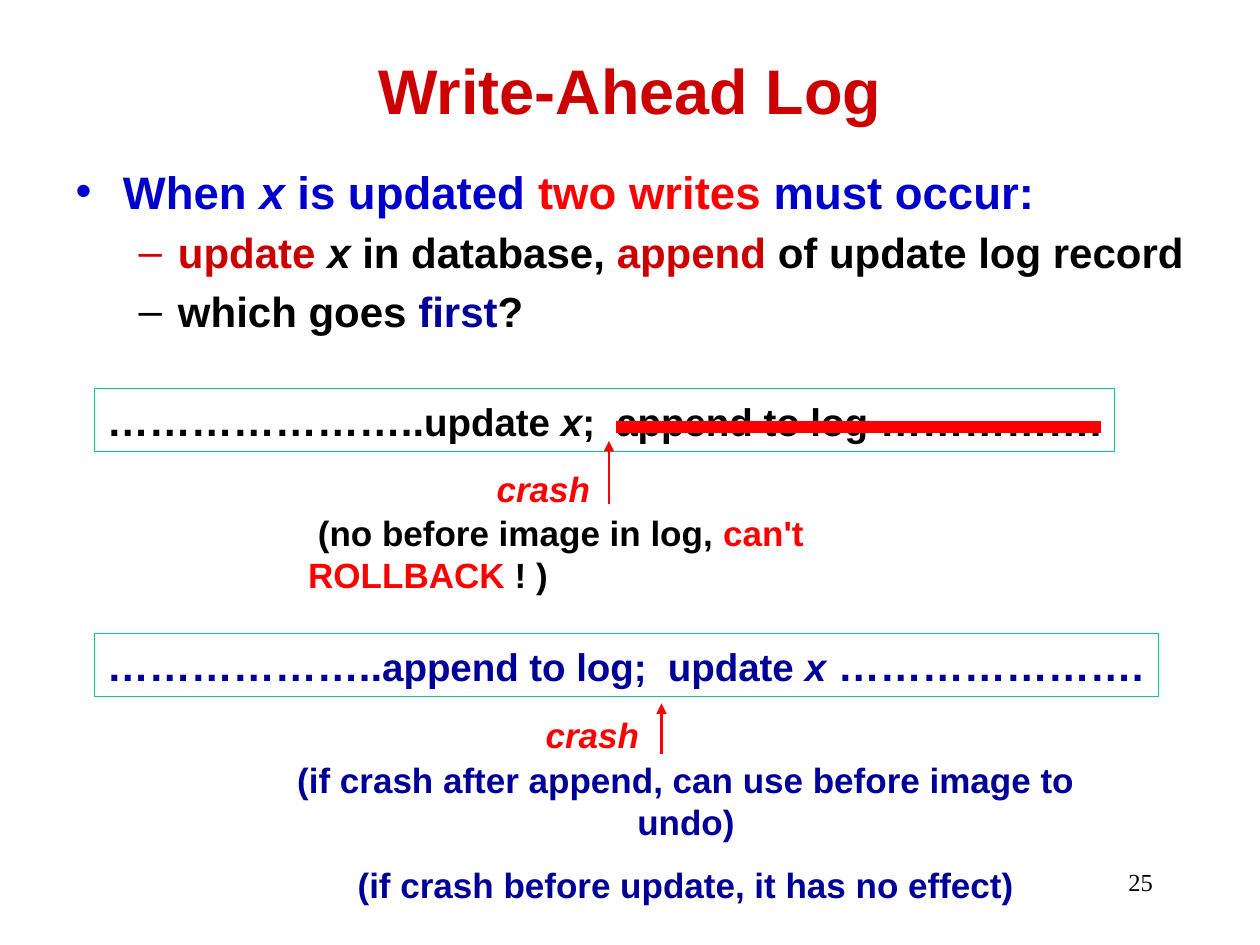
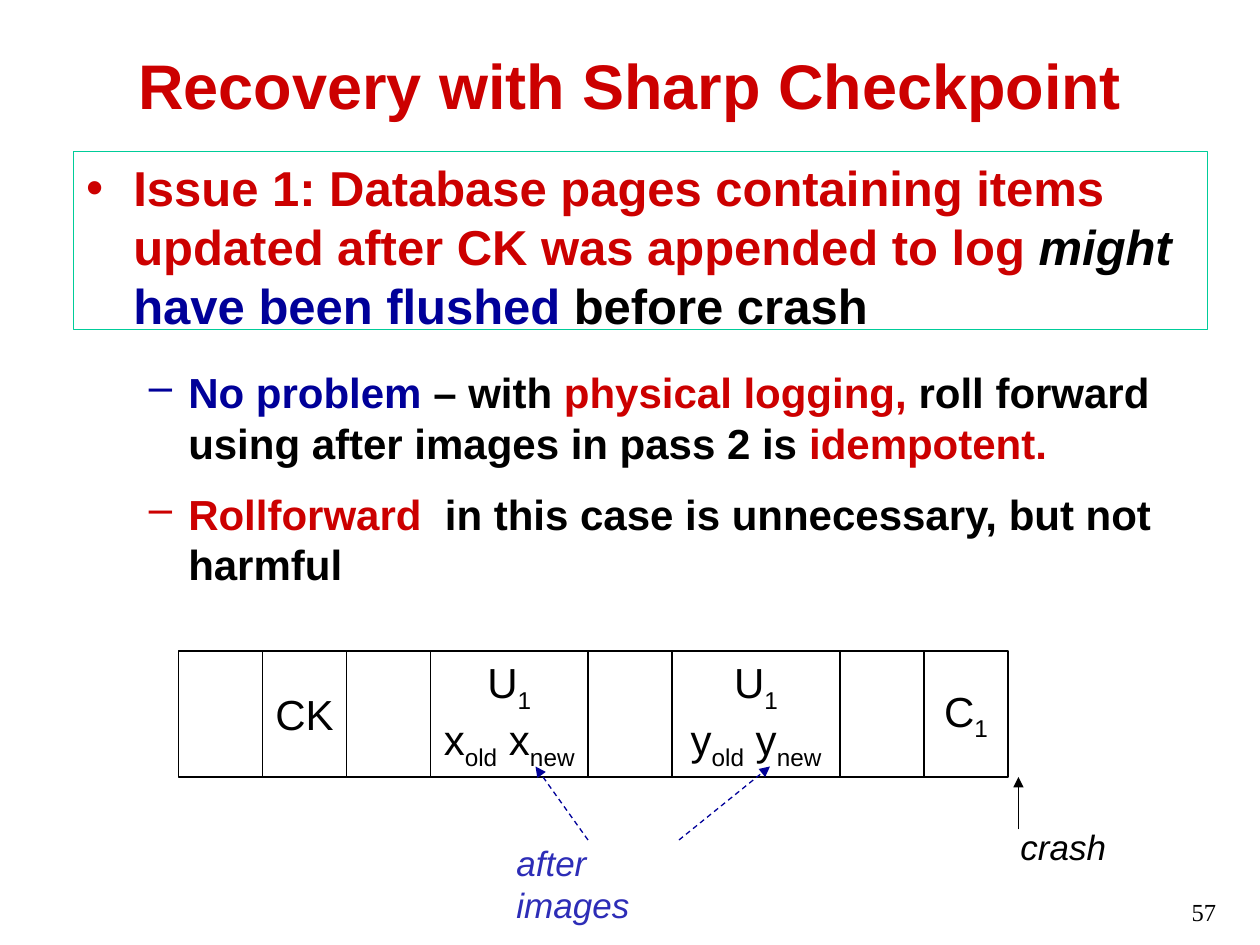
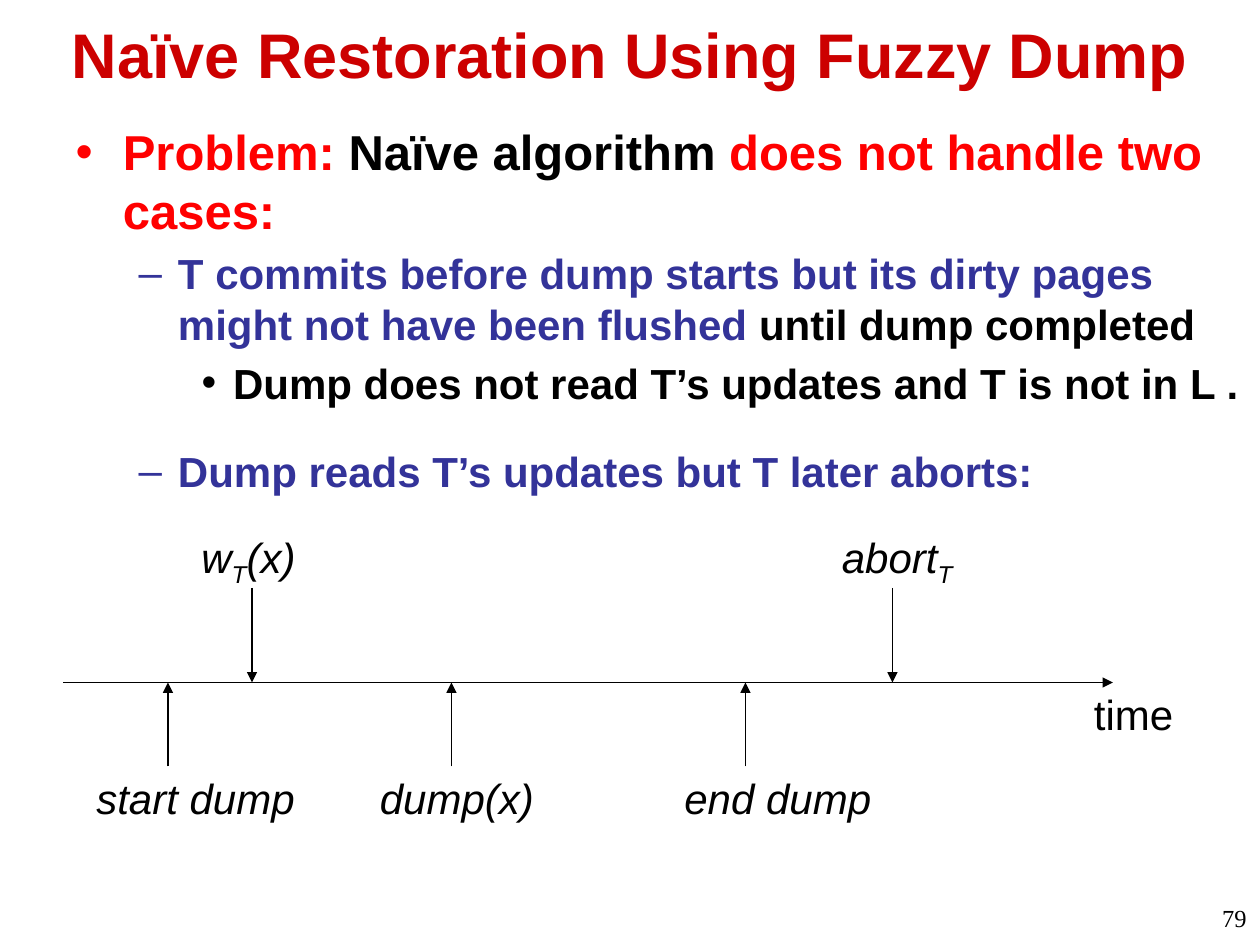
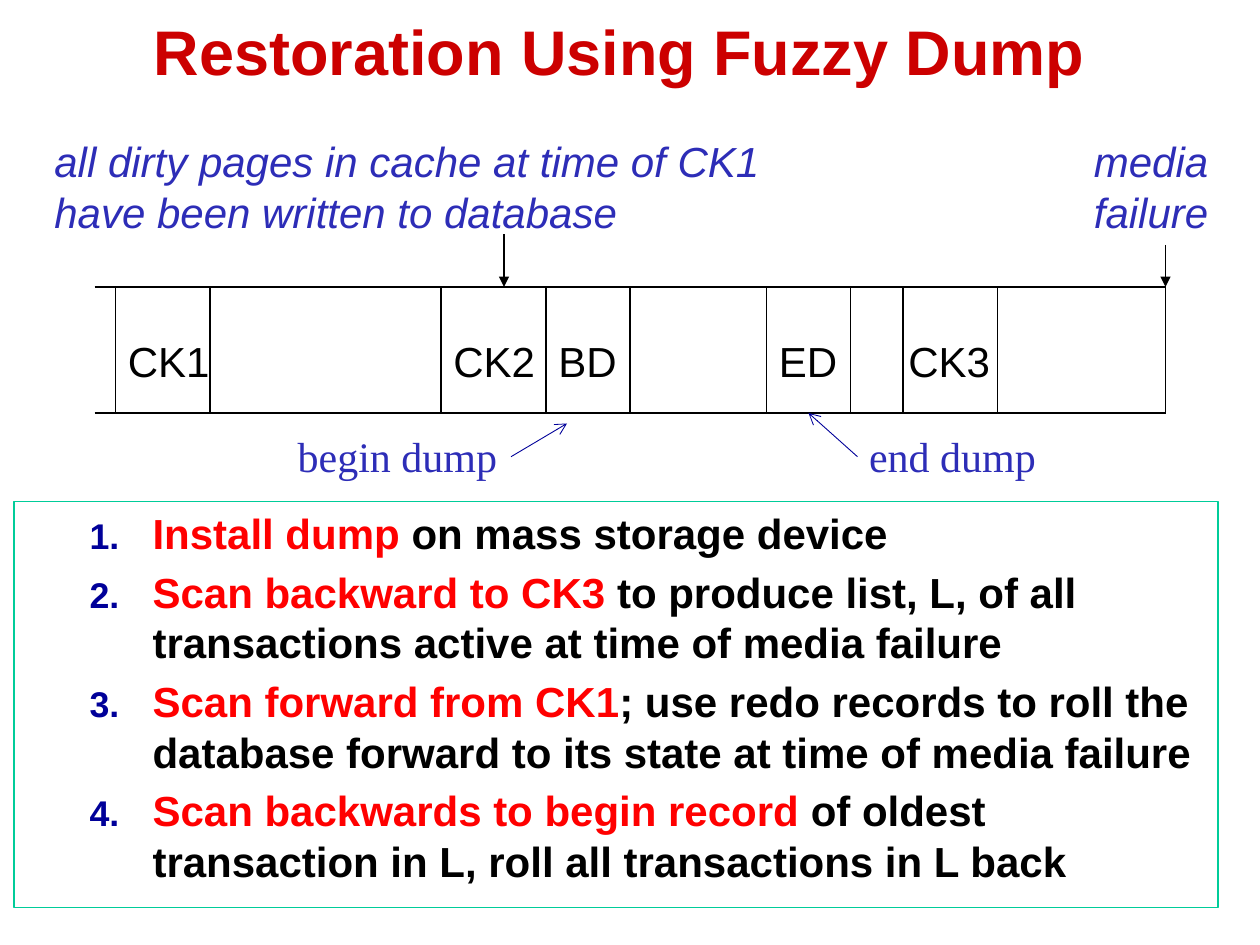
from lxml import etree
from pptx import Presentation
from pptx.dml.color import RGBColor
from pptx.enum.dml import MSO_LINE
from pptx.enum.shapes import MSO_CONNECTOR, MSO_SHAPE
from pptx.enum.text import MSO_ANCHOR, MSO_AUTO_SIZE, PP_ALIGN
from pptx.oxml.ns import qn
from pptx.util import Pt

LEFT, CENTER, RIGHT = PP_ALIGN.LEFT, PP_ALIGN.CENTER, PP_ALIGN.RIGHT
TOP, MIDDLE = MSO_ANCHOR.TOP, MSO_ANCHOR.MIDDLE
FIXED, GROW = MSO_AUTO_SIZE.NONE, MSO_AUTO_SIZE.SHAPE_TO_FIT_TEXT
RECTANGLE, STRAIGHT, DASH = MSO_SHAPE.RECTANGLE, MSO_CONNECTOR.STRAIGHT, MSO_LINE.DASH

BLACK = RGBColor(0x00, 0x00, 0x00)
WHITE = RGBColor(0xFF, 0xFF, 0xFF)
CRIMSON = RGBColor(0xCC, 0x00, 0x00)
RED = RGBColor(0xFF, 0x00, 0x00)
BLUE = RGBColor(0x00, 0x00, 0xCC)
NAVY = RGBColor(0x00, 0x00, 0x99)
INDIGO = RGBColor(0x33, 0x33, 0x99)
VIOLET = RGBColor(0x2D, 0x2D, 0xB7)
GREEN = RGBColor(0x00, 0xCC, 0x99)

ARIAL, TIMES = "Arial", "Times New Roman"
ITALIC, SUBSCRIPT = "italic", "subscript"
NUMBERED = "numbered"
INDENTS = {0: (27, -27, "•"), 1: (58.5, -22.5, "–"), 2: (90, -18, "•"), NUMBERED: (72, -36, None)}

WRITES = [
    (0, 26, [("When ", BLUE), ("x", BLUE, ITALIC), (" is updated ", BLUE), ("two writes ", RED),
             ("must occur:", BLUE)]),
    (1, 24, [("update ", CRIMSON), ("x ", ITALIC), ("in database, ",), ("append ", CRIMSON),
             ("of update log record",)]),
    (1, 24, [("which goes",), (" first", NAVY), ("?",)]),
]
LOG_ORDERS = [
    ((54, 222, 583, 36), BLACK,
     [("…………………..", Pt(24)), ("update ",), ("x", ITALIC), (";  append to log",), (" …………….", Pt(24))]),
    ((54, 362, 608, 36), NAVY,
     [("………………..", Pt(24)), ("append to log;  update ",), ("x", ITALIC), (" ………………….", Pt(24))]),
]
CRASH_LABELS = [(276.5, 263.5, 68, 32), (304.5, 404, 68, 32)]
CRASH_ARROWS = [(348, 288, 348, 252), (378, 431, 378, 402)]
NO_ROLLBACK = [(" (no before image in log, ",), ("can't ROLLBACK ", RED), ("! )",)]
UNDO_NOTES = [
    [("(if crash after append, can use before image to undo)",)],
    [("(if crash before update, it has no effect)",)],
]

ISSUE = [
    (0, 28, [("Issue 1: Database pages containing items updated after CK was appended to log ", CRIMSON),
             ("might ", ITALIC), ("have been flushed", NAVY), (" before crash",)]),
]
ANSWERS = [
    (1, 24, [("No problem ", NAVY), ("– with ",), ("physical logging,", CRIMSON),
             (" roll forward using after images in pass 2 is ",), ("idempotent.", CRIMSON)]),
    (1, 24, [("Rollforward", CRIMSON), ("  in this case is unnecessary, but not harmful",)]),
]


def update_record(item):
    return [[("U",), ("1", SUBSCRIPT)],
            [(item,), ("old", SUBSCRIPT), (f" {item}",), ("new", SUBSCRIPT)]]


LOG_CELLS = [
    (48, []), (48, [[("CK",)]]), (48, []), (90, update_record("x")),
    (48, []), (96, update_record("y")), (48, []), (48, [[("C",), ("1", SUBSCRIPT)]]),
]
AFTER_IMAGE_ARROWS = [(336, 480, 306, 438), (388, 480, 440, 438)]

PROBLEM = [
    (0, 28, [("Problem: ", RED), ("Naïve algorithm ",), ("does not handle two cases:", RED)]),
    (1, 24, [("T commits before dump starts but its dirty pages might not have been flushed", INDIGO),
             (" until dump completed",)]),
    (2, 24, [("Dump does not read T’s updates and T is not in L .",)]),
    (1, 24, [("Dump reads T’s updates but T later aborts:", INDIGO)], 22),
]
AXIS_Y = 390
EVENTS_ABOVE = [
    (144, 108, 70, [("w",), ("T", SUBSCRIPT), ("(x)",)]),
    (510, 474, 79, [("abort",), ("T", SUBSCRIPT)]),
]
EVENTS_BELOW = [
    (96, 48, 128, [("start dump",)]),
    (258, 210, 103, [("dump(x)",)]),
    (426, 384, 122, [("end dump",)]),
]

STEPS = [
    (NUMBERED, 24, [("Install dump", RED), (" on mass storage device",)]),
    (NUMBERED, 24, [("Scan backward to CK3", RED),
                    (" to produce list, L, of all transactions active at time of media failure",)]),
    (NUMBERED, 24, [("Scan forward from CK1", RED),
                    ("; use redo records to roll the database forward to its state at time of media failure",)]),
    (NUMBERED, 24, [("Scan backwards to begin record ", RED),
                    ("of oldest transaction in L, roll all transactions in L back",)]),
]
LOG_LEFT, LOG_RIGHT, LOG_TOP, LOG_BOTTOM = 54, 666, 164, 236
DIVIDERS = [66, 120, 252, 312, 360, 438, 486, 516, 570, LOG_RIGHT]
RECORDS = [(66, 62, "CK1"), (252, 62, "CK2"), (312, 49, "BD"), (438, 49, "ED"), (512, 62, "CK3")]
DUMP_MARKS = [
    ((163, 242.5, 134, 36), "begin dump", (292, 261, 324, 242)),
    ((489.5, 242.5, 115, 36), "end dump", (490, 261, 462, 236)),
]


def place(shape, box):
    shape.left, shape.top, shape.width, shape.height = (Pt(value) for value in box)


def write_paragraph(paragraph, runs, color, size, bold, italic, font, align):
    paragraph.alignment = align
    paragraph.font.name = font
    paragraph.font.size = Pt(size)
    paragraph.font.bold = bold
    paragraph.font.italic = italic
    paragraph.font.color.rgb = color
    for text, *marks in runs:
        run = paragraph.add_run()
        run.text = text
        for mark in marks:
            if mark == ITALIC:
                run.font.italic = True
            elif mark == SUBSCRIPT:
                run._r.get_or_add_rPr().set("baseline", "-25000")
            elif isinstance(mark, RGBColor):
                run.font.color.rgb = mark
            else:
                run.font.size = mark


def next_paragraph(frame, index):
    return frame.add_paragraph() if index else frame.paragraphs[0]


def write(frame, paragraphs, color=BLACK, size=24, bold=False, italic=False, font=ARIAL, align=LEFT):
    for index, runs in enumerate(paragraphs):
        write_paragraph(next_paragraph(frame, index), runs, color, size, bold, italic, font, align)


def add_bullet(paragraph, level):
    margin, indent, character = INDENTS[level]
    properties = paragraph._p.get_or_add_pPr()
    properties.set("marL", str(Pt(margin)))
    properties.set("indent", str(Pt(indent)))
    if level == NUMBERED:
        paragraph.level = 1
        bullet_color = etree.SubElement(properties, qn("a:buClr"))
        etree.SubElement(bullet_color, qn("a:srgbClr")).set("val", str(NAVY))
        etree.SubElement(properties, qn("a:buSzPct")).set("val", "85000")
        etree.SubElement(properties, qn("a:buAutoNum")).set("type", "arabicPeriod")
    else:
        paragraph.level = level
        etree.SubElement(properties, qn("a:buChar")).set("char", character)


def write_list(frame, items, gap_ratio=0.2):
    frame.word_wrap = True
    for index, (level, size, runs, *gap) in enumerate(items):
        paragraph = next_paragraph(frame, index)
        add_bullet(paragraph, level)
        space = gap[0] if gap else round(size * gap_ratio, 1)
        paragraph.space_before = Pt(space if index else 0)
        write_paragraph(paragraph, runs, BLACK, size, True, False, ARIAL, LEFT)


def add_slide(presentation, title, title_box, items, body_box, number=None, number_box=None,
              framed=False, body_fit=FIXED):
    slide = presentation.slides.add_slide(presentation.slide_layouts[1])
    heading, body = slide.shapes.title, slide.placeholders[1]
    for placeholder, box, fit in ((heading, title_box, FIXED), (body, body_box, body_fit)):
        place(placeholder, box)
        placeholder.text_frame.auto_size = fit
    write(heading.text_frame, [[(title,)]], CRIMSON, 36, bold=True, align=CENTER)
    write_list(body.text_frame, items)
    if framed:
        body.line.color.rgb = GREEN
        body.line.width = Pt(0.75)
    if number:
        add_label(slide, number_box, [[(number,)]], wrap=True, fit=FIXED, size=14, font=TIMES, align=RIGHT)
    return slide


def add_label(slide, box, paragraphs, wrap=False, fit=GROW, **style):
    label = slide.shapes.add_textbox(*(Pt(value) for value in box))
    frame = label.text_frame
    frame.word_wrap = wrap
    frame.auto_size = fit
    write(frame, paragraphs, **style)
    return frame


def add_box(slide, box, paragraphs, line, fill=None, anchor=MIDDLE, **style):
    shape = slide.shapes.add_shape(RECTANGLE, *(Pt(value) for value in box))
    shape.shadow.inherit = False
    if fill is None:
        shape.fill.background()
    else:
        shape.fill.solid()
        shape.fill.fore_color.rgb = fill
    shape.line.color.rgb = line
    shape.line.width = Pt(0.75)
    frame = shape.text_frame
    frame.word_wrap = False
    frame.vertical_anchor = anchor
    write(frame, paragraphs, **style)


def add_line(slide, ends, color=BLACK, width=0.75, head=None, dash=None):
    connector = slide.shapes.add_connector(STRAIGHT, *(Pt(value) for value in ends))
    connector.line.color.rgb = color
    connector.line.width = Pt(width)
    if dash is not None:
        connector.line.dash_style = dash
    properties = connector._element.spPr
    if head:
        etree.SubElement(properties.find(qn("a:ln")), qn("a:tailEnd")).set("type", head)
    etree.SubElement(properties, qn("a:effectLst"))


def build_write_ahead(presentation):
    slide = add_slide(presentation, "Write-Ahead Log", (54, 6, 612, 90), WRITES, (36, 90, 648, 120),
                      "25", (516, 492, 150, 36))
    for box, color, runs in LOG_ORDERS:
        add_box(slide, box, [runs], GREEN, anchor=TOP, color=color, size=22, bold=True)
    for box, ends in zip(CRASH_LABELS, CRASH_ARROWS):
        add_label(slide, box, [[("crash",)]], color=RED, size=20, bold=True, italic=True, align=CENTER)
        add_line(slide, ends, RED, 1.5, "triangle")
    add_label(slide, (169, 289, 438.5, 32), [NO_ROLLBACK], wrap=True, size=20, bold=True)
    add_line(slide, (352, 244, 629, 244), RED, 7)
    notes = add_label(slide, (133, 430, 518, 68), UNDO_NOTES, wrap=True,
                      color=NAVY, size=20, bold=True, align=CENTER)
    notes.paragraphs[1].line_spacing = 1.5


def build_sharp_checkpoint(presentation):
    slide = add_slide(presentation, "Recovery with Sharp Checkpoint", (54, 24, 612, 48),
                      ISSUE, (42, 86.5, 648, 109), "57", (639, 509, 63, 24),
                      framed=True, body_fit=GROW)
    answers = add_label(slide, (42, 206, 648, 138), [], wrap=True)
    write_list(answers, ANSWERS, 0.5)
    left = 102
    for width, paragraphs in LOG_CELLS:
        add_box(slide, (left, 372, width, 72), paragraphs, BLACK, WHITE, align=CENTER)
        left += width
    add_label(slide, (left, 468, 70, 31), [[("crash",)]], size=20, italic=True)
    add_line(slide, (left + 6, 474, left + 6, 444), head="triangle")
    add_label(slide, (288, 477.5, 124, 31), [[("after images",)]], wrap=True,
              color=VIOLET, size=20, italic=True)
    for ends in AFTER_IMAGE_ARROWS:
        add_line(slide, ends, NAVY, head="triangle", dash=DASH)


def build_naive_restoration(presentation):
    slide = add_slide(presentation, "Naïve Restoration Using Fuzzy Dump", (0, -6, 720, 73),
                      PROBLEM, (36, 66, 684, 230), "79", (569.5, 512.5, 150, 27))
    add_line(slide, (36, AXIS_Y, 636, AXIS_Y), head="triangle")
    add_label(slide, (618, AXIS_Y, 60, 36), [[("time",)]])
    for events, start_y, label_y in ((EVENTS_ABOVE, 336, 300), (EVENTS_BELOW, 438, 438)):
        for x, label_left, label_width, runs in events:
            add_line(slide, (x, start_y, x, AXIS_Y), head="triangle")
            add_label(slide, (label_left, label_y, label_width, 36), [runs], italic=True)


def build_fuzzy_restoration(presentation):
    slide = add_slide(presentation, "Restoration Using Fuzzy Dump", (48, 0, 612, 58),
                      STEPS, (8, 286.5, 688, 232), framed=True)
    for left, width, record in RECORDS:
        add_label(slide, (left, 188, width, 36), [[(record,)]])
    for x in DIVIDERS:
        add_line(slide, (x, LOG_TOP, x, LOG_BOTTOM))
    for y in (LOG_TOP, LOG_BOTTOM):
        add_line(slide, (LOG_LEFT, y, LOG_RIGHT, y))
    add_label(slide, (618, 74, 80, 65), [[("media",)], [("failure",)]], color=VIOLET, italic=True)
    add_line(slide, (LOG_RIGHT, 140, LOG_RIGHT, LOG_TOP), head="triangle")
    add_label(slide, (24, 74, 423, 65),
              [[("all dirty pages in cache at time of CK1 have been written to database",)]],
              wrap=True, color=VIOLET, italic=True)
    add_line(slide, (288, 134, 288, LOG_TOP), head="triangle")
    for box, text, ends in DUMP_MARKS:
        add_label(slide, box, [[(text,)]], color=VIOLET, font=TIMES)
        add_line(slide, ends, NAVY, 0.5, "arrow")


def main():
    presentation = Presentation()
    presentation.slide_width, presentation.slide_height = Pt(720), Pt(540)
    build_write_ahead(presentation)
    build_sharp_checkpoint(presentation)
    build_naive_restoration(presentation)
    build_fuzzy_restoration(presentation)
    presentation.save("out.pptx")


if __name__ == "__main__":
    main()
